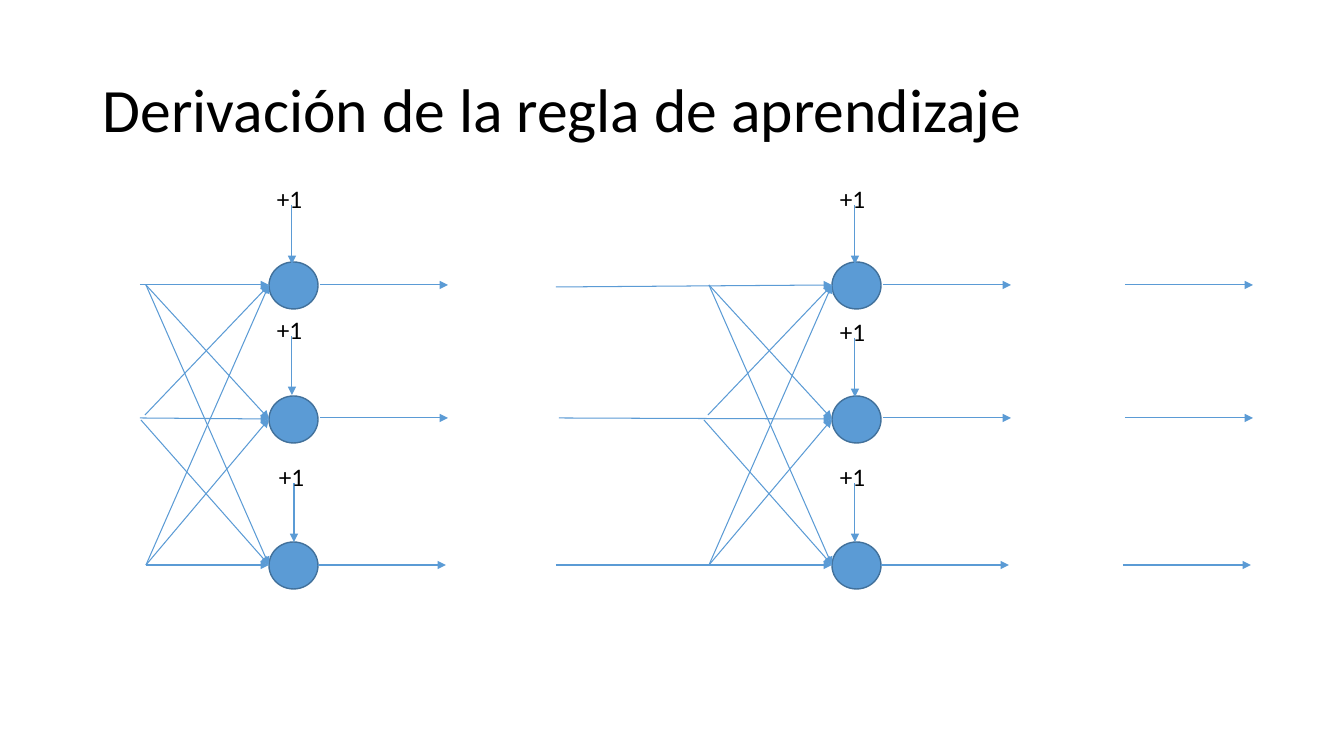
import pptx
import pptx.dml.color
import pptx.enum.shapes
import pptx.enum.text
import pptx.oxml
import pptx.oxml.ns
import pptx.util

SCALE = 914400 / 100.8
COLORS = {"node": "5B9BD5", "outline": "42719B", "arrow": "5B9BD5", "text": "000000"}
FONT = "Calibri"

NODE_W, NODE_H = 49, 47
ROWS = [285, 418, 565]
NODE_TOPS = [262, 396, 542]
NODE_MIDS = [285, 419, 565]
ARROW_LEN = 128
BIAS_LEN = 59

# Crossing links: offset from the node's left side, start y, target row
CROSSINGS = [(-123, 285, 1), (-123, 285, 2), (-124, 415, 0),
             (-128, 420, 2), (-123, 565, 1), (-123, 565, 0)]

LAYERS = [
    {"left": 269,
     "inputs": [(140, 285), (140, 418), (146, 565)],
     "biases": [(292, 205), (292, 336), (294, 483)]},
    {"left": 832,
     "inputs": [(556, 287), (559, 418), (556, 565)],
     "biases": [(855, 205), (855, 338), (855, 483)]},
]
TARGETS_LEFT = 1125


def px(n):
    return pptx.util.Emu(round(n * SCALE))


def rgb(name):
    return pptx.dml.color.RGBColor.from_string(COLORS[name])


def add_text(s, text, x, y, w, h, size, wrap=False):
    tf = s.shapes.add_textbox(px(x), px(y), px(w), px(h)).text_frame
    tf.word_wrap = wrap
    tf.vertical_anchor = pptx.enum.text.MSO_ANCHOR.MIDDLE if wrap else pptx.enum.text.MSO_ANCHOR.TOP
    p = tf.paragraphs[0]
    r = p.add_run()
    r.text = text
    r.font.name = FONT
    r.font.size = pptx.util.Pt(size)
    r.font.color.rgb = rgb("text")
    return p


def add_arrow(s, x1, y1, x2, y2):
    c = s.shapes.add_connector(pptx.enum.shapes.MSO_CONNECTOR.STRAIGHT,
                               px(x1), px(y1), px(x2), px(y2))
    c.line.color.rgb = rgb("arrow")
    c.line.width = pptx.util.Pt(0.75)
    ln = c.line._get_or_add_ln()
    tail = pptx.oxml.parse_xml(f'<a:tailEnd {pptx.oxml.ns.nsdecls("a")} type="triangle"/>')
    ln.append(tail)
    ln.addnext(pptx.oxml.parse_xml(f'<a:effectLst {pptx.oxml.ns.nsdecls("a")}/>'))


def add_node(s, x, y):
    sp = s.shapes.add_shape(pptx.enum.shapes.MSO_SHAPE.OVAL,
                            px(x), px(y), px(NODE_W), px(NODE_H))
    sp.shadow.inherit = False
    sp.fill.solid()
    sp.fill.fore_color.rgb = rgb("node")
    sp.line.color.rgb = rgb("outline")
    sp.line.width = pptx.util.Pt(1)


def add_output_arrows(s, x):
    """Draw one arrow per row; the last row starts slightly further left."""
    for y, shift in zip(ROWS, (0, 0, -2)):
        add_arrow(s, x + shift, y, x + shift + ARROW_LEN, y)


def add_bias(s, x, y):
    add_arrow(s, x, y, x, y + BIAS_LEN)
    add_text(s, "+1", x - 25, y - 27, 46, 40, 18)


def add_layer(s, left, inputs, biases):
    for top in NODE_TOPS:
        add_node(s, left, top)
    for (x, y), mid in zip(inputs, NODE_MIDS):
        add_arrow(s, x, y, left, mid)
    for dx, y, row in CROSSINGS:
        add_arrow(s, left + dx, y, left, NODE_MIDS[row])
    add_output_arrows(s, left + NODE_W + 2)
    for x, y in biases:
        add_bias(s, x, y)


def main():
    prs = pptx.Presentation()
    prs.slide_width, prs.slide_height = px(1344), px(756)
    s = prs.slides.add_slide(prs.slide_layouts[6])
    title = add_text(s, "Derivación de la regla de aprendizaje", 93, 40, 1159, 146, 44, wrap=True)
    title.line_spacing = 0.9
    for layer in LAYERS:
        add_layer(s, **layer)
    add_output_arrows(s, TARGETS_LEFT)
    prs.save("out.pptx")


if __name__ == "__main__":
    main()
